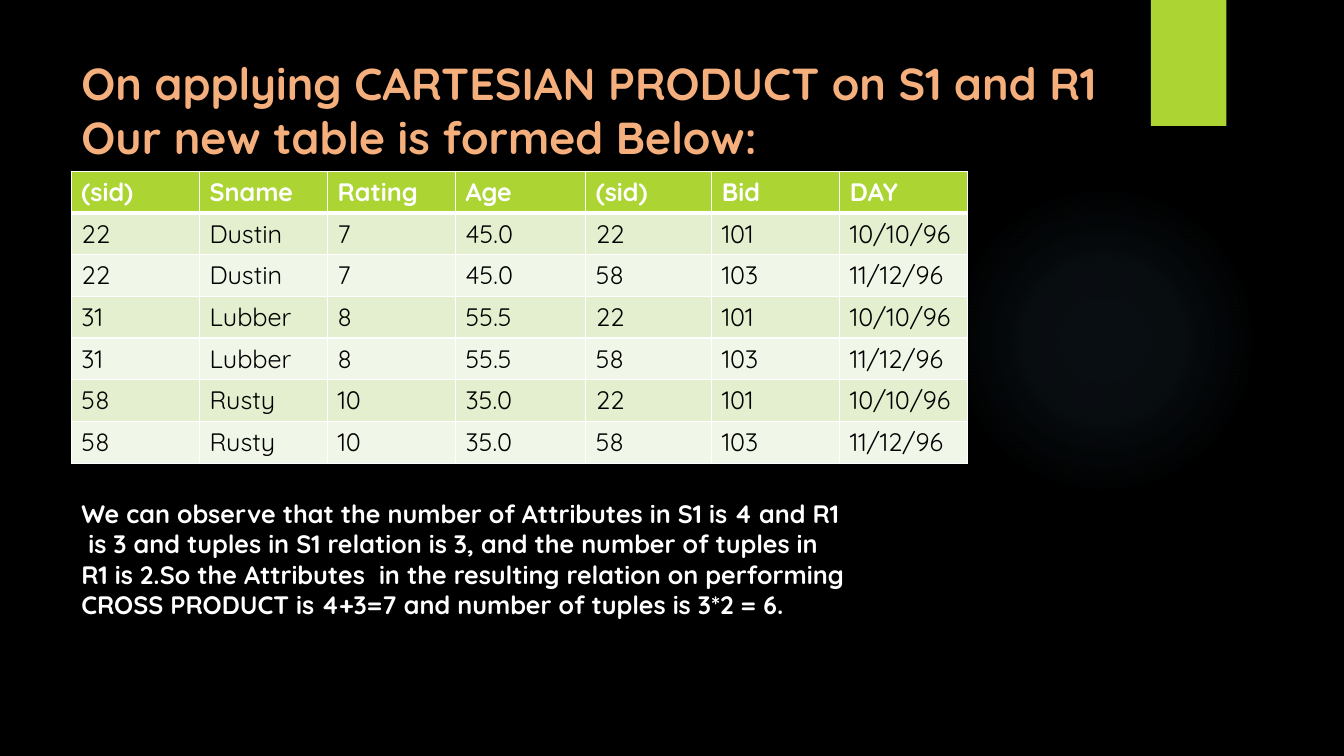
from lxml import etree
from pptx import Presentation
from pptx import util as u
from pptx.dml.color import RGBColor
from pptx.enum import shapes, text
from pptx.oxml import ns, parse_xml

BLACK = RGBColor(0x00, 0x00, 0x00)
WHITE = RGBColor(0xFF, 0xFF, 0xFF)
LIME = RGBColor(0xAC, 0xD4, 0x33)
PALE = RGBColor(0xE3, 0xEF, 0xCE)
MIST = RGBColor(0xF1, 0xF7, 0xE8)
PEACH = RGBColor(0xF5, 0xAF, 0x7C)
SKY = RGBColor(0x7A, 0xC4, 0xF0)

SAILORS = [("22", "Dustin", "7", "45.0"), ("31", "Lubber", "8", "55.5"), ("58", "Rusty", "10", "35.0")]
BOOKINGS = [("22", "101", "10/10/96"), ("58", "103", "11/12/96")]
HEADS = ("(sid)", "Sname", "Rating", "Age", "(sid)", "Bid", "DAY")
WIDTHS = (122, 122, 122, 124, 120, 122, 122)
NOTES = (
    "We can observe that the number of Attributes in S1 is 4 and R1",
    " is 3 and tuples in S1 relation is 3, and the number of tuples in",
    "R1 is 2.So the Attributes  in the resulting relation on performing",
    "CROSS PRODUCT is 4+3=7 and number of tuples is 3*2 = 6.",
)


def px(*sizes):
    return [u.Emu(size * 9525) for size in sizes]


class Deck:
    font = "Quicksand"

    def __init__(self):
        self.show = Presentation()
        self.show.slide_width, self.show.slide_height = px(1280, 720)
        self.slide = self.show.slides.add_slide(self.show.slide_layouts[5])
        fill = self.slide.background.fill
        fill.solid()
        fill.fore_color.rgb = BLACK

    def label(self, para, words, size, color, bold=True):
        para.alignment = text.PP_ALIGN.LEFT
        run = para.add_run()
        run.text = words
        run.font.name = self.font
        run.font.size = u.Pt(size)
        run.font.bold = bold
        run.font.color.rgb = color

    def shape(self, kind, box, color):
        item = self.slide.shapes.add_shape(kind, *px(*box))
        item.shadow.inherit = False
        item.fill.solid()
        item.fill.fore_color.rgb = color
        item.line.fill.background()
        return item

    def glow(self, box, color, stops):
        item = self.shape(shapes.MSO_SHAPE.OVAL, box, color)
        marks = "".join(
            f'<a:gs pos="{place * 1000}"><a:srgbClr val="{color}">'
            f'<a:alpha val="{alpha * 1000}"/></a:srgbClr></a:gs>'
            for place, alpha in stops
        )
        blend = parse_xml(
            f'<a:gradFill {ns.nsdecls("a")}><a:gsLst>{marks}</a:gsLst>'
            '<a:path path="circle"><a:fillToRect l="50000" t="50000" '
            'r="50000" b="50000"/></a:path></a:gradFill>'
        )
        props = item._element.spPr
        props.replace(props.find(ns.qn("a:solidFill")), blend)

    def title(self, box, words):
        item = self.slide.shapes.title
        item.left, item.top, item.width, item.height = px(*box)
        frame = item.text_frame
        frame.word_wrap = True
        frame.auto_size = text.MSO_AUTO_SIZE.NONE
        frame.vertical_anchor = text.MSO_ANCHOR.TOP
        self.label(frame.paragraphs[0], words, 32, PEACH)

    def note(self, box, lines):
        frame = self.slide.shapes.add_textbox(*px(*box)).text_frame
        frame.word_wrap = True
        for i, line in enumerate(lines):
            para = frame.add_paragraph() if i else frame.paragraphs[0]
            self.label(para, line, 18, WHITE)

    def edge(self, cell, base):
        props = cell._tc.get_or_add_tcPr()
        for i, (side, width) in enumerate((("L", 1), ("R", 1), ("T", 1), ("B", base))):
            line = etree.Element(ns.qn(f"a:ln{side}"), w=str(u.Pt(width)))
            fill = etree.SubElement(line, ns.qn("a:solidFill"))
            etree.SubElement(fill, ns.qn("a:srgbClr"), val=str(WHITE))
            props.insert(i, line)

    def table(self, left, top, widths, height, rows):
        box = px(left, top, sum(widths), height * len(rows))
        grid = self.slide.shapes.add_table(len(rows), len(widths), *box).table
        for col, width in zip(grid.columns, px(*widths)):
            col.width = width
        for r, row in enumerate(rows):
            grid.rows[r].height = px(height)[0]
            head = r == 0
            shade = LIME if head else PALE if r % 2 else MIST
            for c, words in enumerate(row):
                cell = grid.cell(r, c)
                cell.fill.solid()
                cell.fill.fore_color.rgb = shade
                self.edge(cell, 3 if head else 1)
                para = cell.text_frame.paragraphs[0]
                self.label(para, words, 18, WHITE if head else BLACK, head)


def main():
    deck = Deck()
    deck.glow((903, 176, 296, 296), SKY, ((0, 7), (36, 6), (69, 0)))
    deck.shape(shapes.MSO_SHAPE.RECTANGLE, (1096, 0, 72, 120), LIME)
    deck.title((68, 48, 988, 166), "On applying CARTESIAN PRODUCT on S1 and R1 Our new table is formed Below:")
    pairs = [left + right for left in SAILORS for right in BOOKINGS]
    deck.table(68, 163, WIDTHS, 39, [HEADS] + pairs)
    deck.note((68, 470, 1023, 126), NOTES)
    deck.show.save("out.pptx")


if __name__ == "__main__":
    main()
